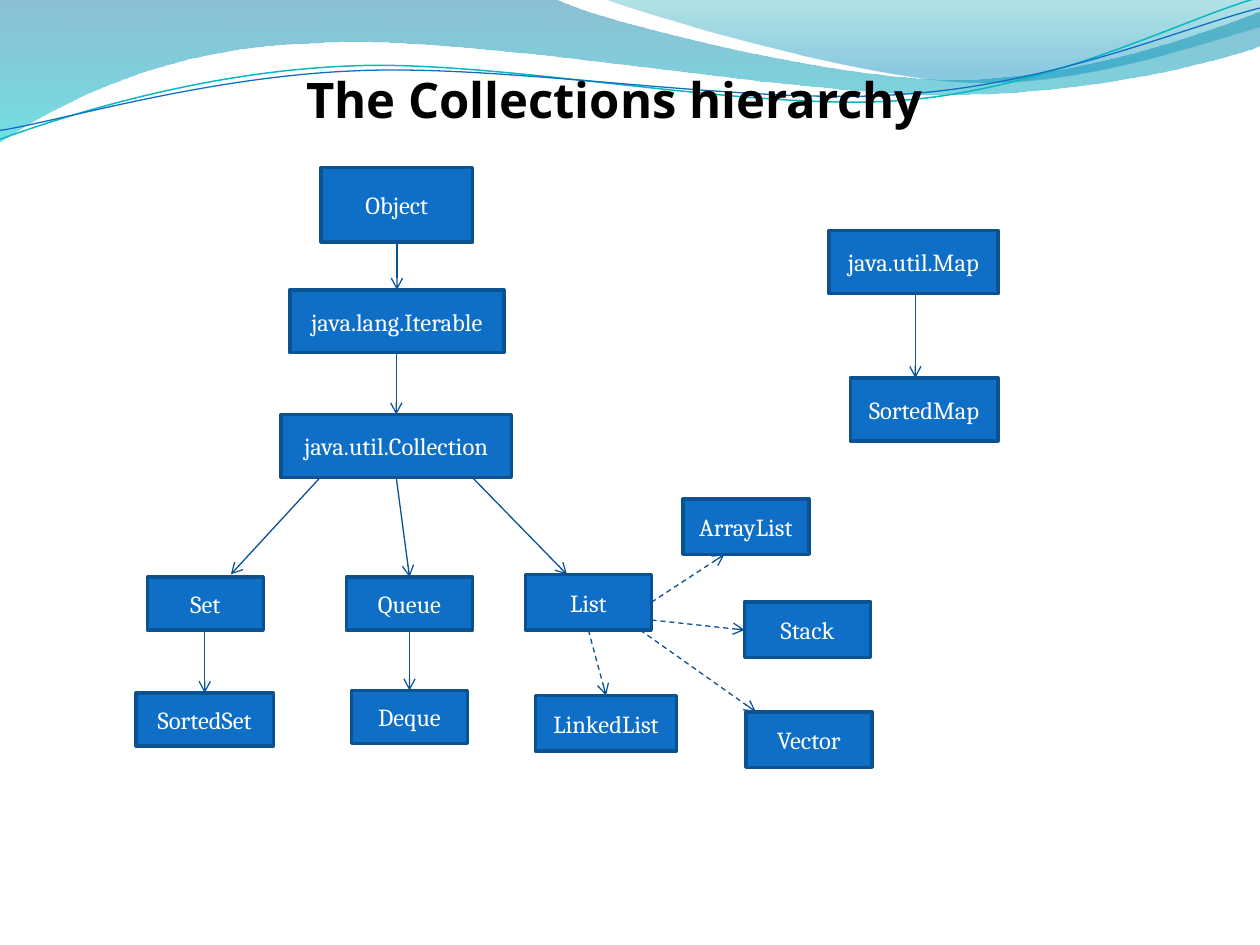
from lxml.etree import SubElement
from pptx import Presentation
from pptx.dml.color import RGBColor
from pptx.enum.dml import MSO_LINE
from pptx.enum.shapes import MSO_CONNECTOR, MSO_SHAPE
from pptx.enum.text import MSO_ANCHOR, PP_ALIGN
from pptx.oxml.ns import qn
from pptx.util import Inches, Pt

BOX_FILL, BOX_LINE, ARROW = "0F6FC6", "0B5292", "095295"
BOTTOM, TOP = (0.5, 1), (0.5, 0)
CURVE_TILT = 357.3

# Outlines: a start point, then line ends (2 numbers) or cubic curves (6 numbers).
LEFT_WAVE = [(0, 0), (4.4, -0.01), (4.76, 0.17, 6.64, 0.63, 7.58, 0.63),
             (8.53, 0.63, 9.58, 0.26, 10, 0.09), (10.01, 0.36),
             (9.83, 0.44, 8.7, 0.76, 7.46, 0.75), (6.22, 0.75, 3.82, 0.28, 2.57, 0.34),
             (1.29, 0.36, 0.46, 0.83, -0.01, 1.13), (0, 0)]
RIGHT_WAVE = [(4.79, -0.01), (5.09, 0.11, 6.82, 0.62, 7.69, 0.65),
              (8.56, 0.69, 9.61, 0.32, 10, 0.21), (10, 0), (4.79, -0.01)]
TEAL_CURVE = [(-0.02, 0.87), (0.47, 0.72, 1.58, 0.41, 2.78, 0.42),
              (3.96, 0.42, 5.91, 0.93, 7.12, 0.9), (8.32, 0.87, 9.4, 0.36, 10, 0.22)]
BLUE_CURVE = [(-0.02, 0.8), (0.46, 0.75, 1.64, 0.45, 2.83, 0.46),
              (4.04, 0.46, 5.96, 0.89, 7.16, 0.85), (8.35, 0.83, 9.42, 0.42, 10.02, 0.3)]

# Nodes: left, top, width, height within the tree.
COLLECTION_NODES = {
    "Object": (1.47, 0, 1.2, 0.59),
    "java.lang.Iterable": (1.22, 0.97, 1.7, 0.5),
    "java.util.Collection": (1.15, 1.96, 1.83, 0.5),
    "Set": (0.09, 3.25, 0.92, 0.42),
    "Queue": (1.67, 3.25, 1, 0.42),
    "List": (3.09, 3.23, 1, 0.44),
    "SortedSet": (0, 4.17, 1.09, 0.42),
    "Deque": (1.71, 4.15, 0.92, 0.42),
    "ArrayList": (4.34, 2.63, 1, 0.44),
    "LinkedList": (3.17, 4.19, 1.12, 0.44),
    "Stack": (4.83, 3.45, 1, 0.44),
    "Vector": (4.84, 4.32, 1, 0.44),
}
# Links: parent, child, then start and end as fractions of their boxes.
COLLECTION_LINKS = [
    ("Object", "java.lang.Iterable", BOTTOM, TOP),
    ("java.lang.Iterable", "java.util.Collection", BOTTOM, TOP),
    ("java.util.Collection", "Set", (0.17, 1), (0.72, -0.05)),
    ("java.util.Collection", "Queue", BOTTOM, TOP),
    ("java.util.Collection", "List", (0.83, 1), (0.33, 0)),
    ("Set", "SortedSet", BOTTOM, TOP),
    ("Queue", "Deque", BOTTOM, TOP),
    ("List", "ArrayList", (1, 0.5), (0.33, 1)),
    ("List", "Stack", (1, 0.82), (0, 0.5)),
    ("List", "LinkedList", BOTTOM, TOP),
    ("List", "Vector", (0.91, 1), (0.08, 0)),
]
MAP_NODES = {"java.util.Map": (0, 0, 1.34, 0.5), "SortedMap": (0.17, 1.17, 1.17, 0.5)}
MAP_LINKS = [("java.util.Map", "SortedMap", (0.51, 1), (0.44, 0))]


def rgb(value):
    return RGBColor.from_string(value)


def add_outline(slide, left, top, outline, close):
    """Lay all points as line ends, then join each curve's three into one cubic."""
    points = [(Inches(left + seg[i]), Inches(top + seg[i + 1]))
              for seg in outline for i in range(0, len(seg), 2)]
    builder = slide.shapes.build_freeform(*points[0])
    builder.add_line_segments(points[1:], close=close)
    sp = builder.convert_to_shape()
    sp.shadow.inherit = False
    ends = iter(list(sp._element.iter(qn("a:lnTo"))))
    for seg in outline[1:]:
        first = next(ends)
        if len(seg) == 6:
            first.tag = qn("a:cubicBezTo")
            for _ in range(2):
                end = next(ends)
                first.append(end[0])
                end.getparent().remove(end)
    return sp


def add_wave(slide, left, top, outline, stops):
    """Add a wave fading downwards; stops are (position, colour, opacity %)."""
    sp = add_outline(slide, left, top, outline, True)
    sp.line.fill.background()
    sp.fill.gradient()
    sp.fill.gradient_angle = 270
    for stop, (position, color, _) in zip(sp.fill.gradient_stops, stops):
        stop.position = position
        stop.color.rgb = rgb(color)
    for clr, (_, _, opacity) in zip(sp._element.spPr.iter(qn("a:srgbClr")), stops):
        SubElement(clr, qn("a:alpha"), val=str(opacity * 1000))


def add_curve(slide, left, top, outline, color, width):
    sp = add_outline(slide, left, top, outline, False)
    sp.rotation = CURVE_TILT
    sp.fill.background()
    sp.line.color.rgb = rgb(color)
    sp.line.width = Pt(width)


def add_header(slide, left, top):
    add_wave(slide, left, top, LEFT_WAVE, [(0, "0074A1", 45), (1, "00C6CF", 55)])
    add_wave(slide, left, top, RIGHT_WAVE, [(0, "00A1A9", 30), (0.8, "008BBF", 45)])
    add_curve(slide, left, top, TEAL_CURVE, "0AB8BF", 0.85)
    add_curve(slide, left, top, BLUE_CURVE, "0F6FC6", 0.75)


def set_text(sp, text, font, size, color, bold=False):
    tf = sp.text_frame
    tf.word_wrap = True
    p = tf.paragraphs[0]
    p.text = text
    p.alignment = PP_ALIGN.CENTER
    p.font.name, p.font.size, p.font.bold = font, Pt(size), bold
    p.font.color.rgb = rgb(color)


def add_title(slide, left, top, width, height):
    sp = slide.shapes.add_textbox(*map(Inches, (left, top, width, height)))
    set_text(sp, "The Collections hierarchy", "Open Sans", 28, "000000", True)


def add_node(slide, left, top, width, height, name):
    sp = slide.shapes.add_shape(MSO_SHAPE.RECTANGLE,
                                *map(Inches, (left, top, width, height)))
    sp.shadow.inherit = False
    sp.fill.solid()
    sp.fill.fore_color.rgb = rgb(BOX_FILL)
    sp.line.color.rgb = rgb(BOX_LINE)
    sp.line.width = Pt(2)
    sp.text_frame.vertical_anchor = MSO_ANCHOR.MIDDLE
    set_text(sp, name, "Cambria", 14, "FFFFFF")


def add_arrow(slide, start, end, dashed):
    """Add an arrow, made upright when its ends are almost in line."""
    if abs(start[0] - end[0]) < 0.02:
        start = (end[0], start[1])
    line = slide.shapes.add_connector(MSO_CONNECTOR.STRAIGHT,
                                      *map(Inches, (*start, *end)))
    line.line.color.rgb = rgb(ARROW)
    line.line.width = Pt(0.75)
    if dashed:
        line.line.dash_style = MSO_LINE.DASH
    SubElement(line.get_or_add_ln(), qn("a:tailEnd"), type="arrow")
    SubElement(line._element.spPr, qn("a:effectLst"))


def add_tree(slide, left, top, nodes, links):
    """Draw the nodes and their links; arrows from List are dashed."""
    boxes = {name: (left + x, top + y, w, h) for name, (x, y, w, h) in nodes.items()}
    for name, box in boxes.items():
        add_node(slide, *box, name)
    for parent, child, *anchors in links:
        start, end = [(x + w * fx, y + h * fy) for (x, y, w, h), (fx, fy)
                      in zip((boxes[parent], boxes[child]), anchors)]
        add_arrow(slide, start, end, parent == "List")


def main():
    prs = Presentation()
    prs.slide_width, prs.slide_height = Inches(10), Inches(7.5)
    slide = prs.slides.add_slide(prs.slide_layouts[6])
    add_header(slide, 0, 0)
    add_title(slide, 1.25, 0.5, 7.25, 0.57)
    add_tree(slide, 1.08, 1.33, COLLECTION_NODES, COLLECTION_LINKS)
    add_tree(slide, 6.58, 1.83, MAP_NODES, MAP_LINKS)
    prs.save("out.pptx")


if __name__ == "__main__":
    main()
